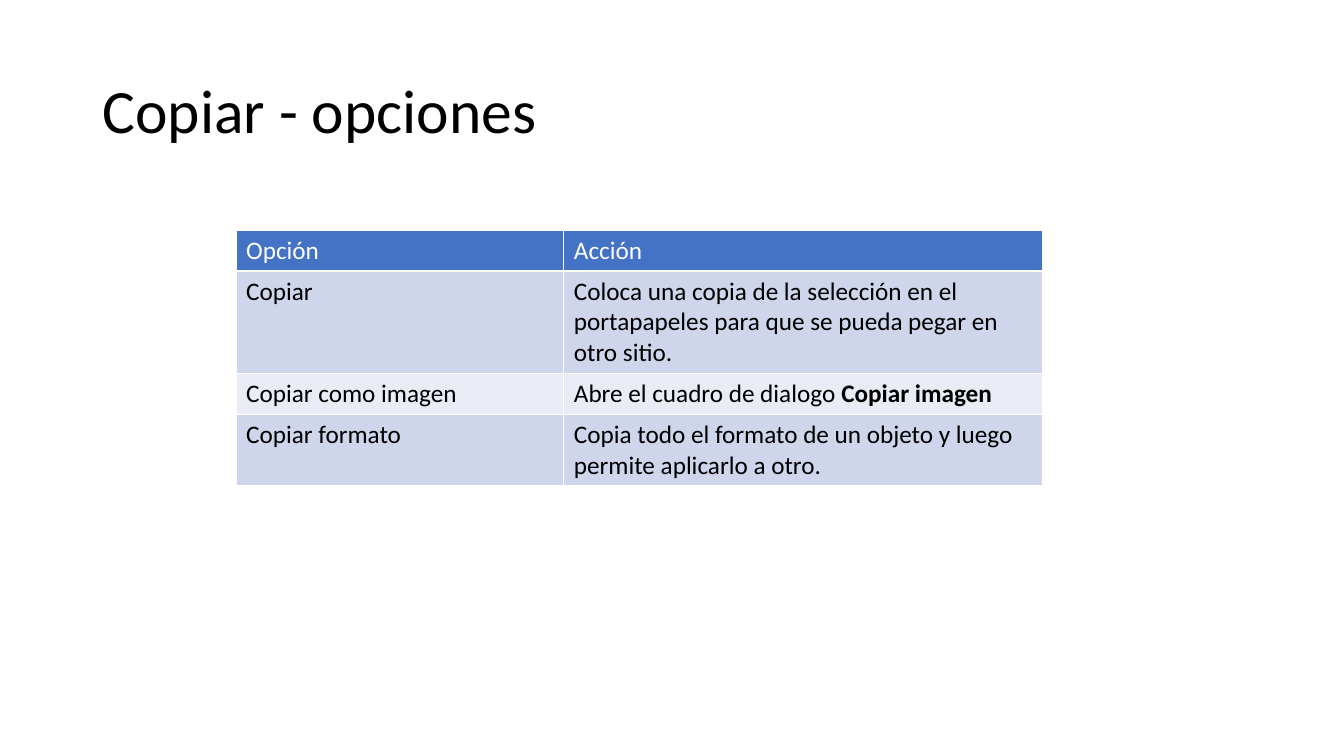
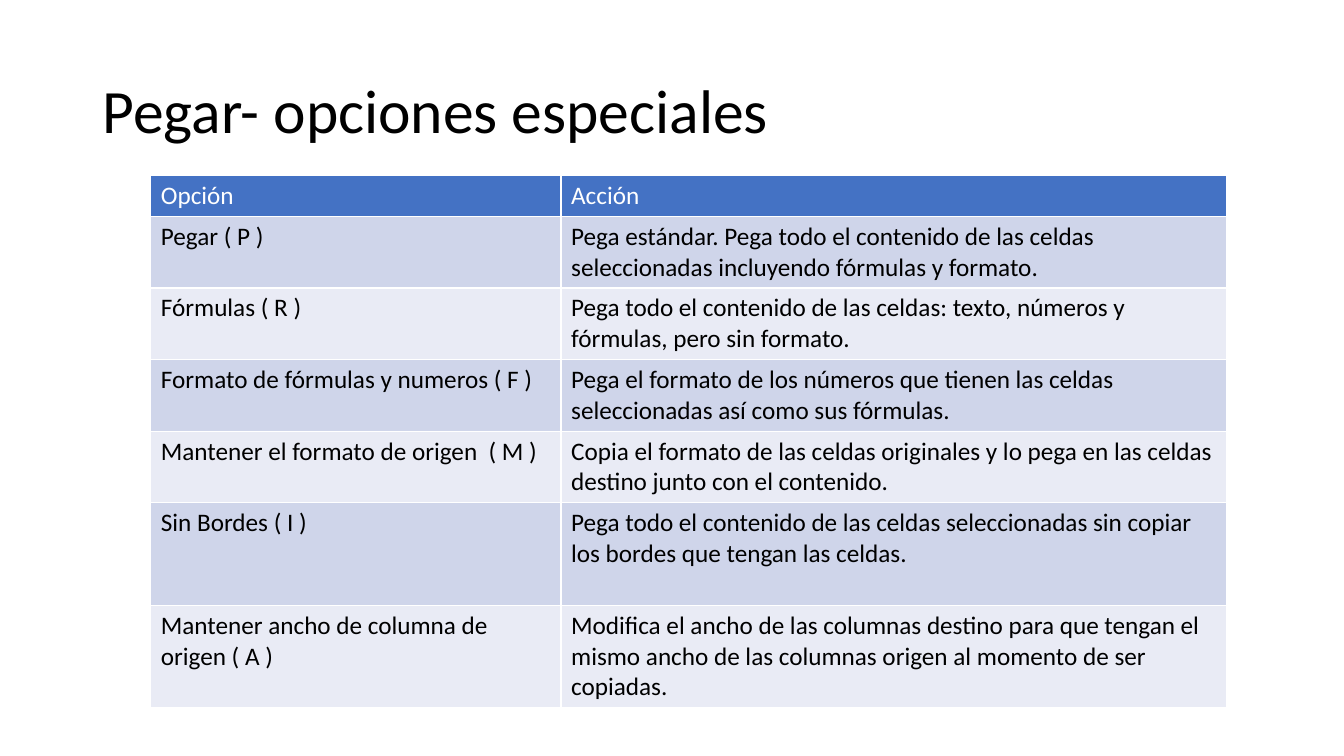
"""Build two slides of option tables for copying and pasting."""

import dataclasses

import pptx
import pptx.dml.color
import pptx.enum.text
import pptx.presentation
import pptx.slide
import pptx.table
import pptx.util

Cm = pptx.util.Cm
Pt = pptx.util.Pt

FONT = "Calibri"
COLORS = {
    "text": "000000",
    "header_text": "FFFFFF",
    "header": "4472C4",
    "odd_row": "CFD5EA",
    "even_row": "E9EBF5",
}
LINE_HEIGHT = 0.775
CELL_PADDING = 0.255


@dataclasses.dataclass(frozen=True)
class Row:
    option: str
    action: str
    lines: int = 2
    bold_ending: str = ""


@dataclasses.dataclass(frozen=True)
class OptionSlide:
    title: str
    left: float
    top: float
    column_widths: tuple[float, float]
    rows: tuple[Row, ...]


HEADER = Row("Opción", "Acción", lines=1)

OPTION_SLIDES = (
    OptionSlide(
        "Copiar - opciones", 5.95, 5.8, (8.26, 12.06),
        (
            Row("Copiar", "Coloca una copia de la selección en el portapapeles "
                "para que se pueda pegar en otro sitio.", lines=3),
            Row("Copiar como imagen", "Abre el cuadro de dialogo ", lines=1,
                bold_ending="Copiar imagen"),
            Row("Copiar formato", "Copia todo el formato de un objeto y luego "
                "permite aplicarlo a otro."),
        ),
    ),
    OptionSlide(
        "Pegar- opciones especiales", 3.8, 4.42, (10.34, 16.78),
        (
            Row("Pegar ( P )", "Pega estándar. Pega todo el contenido de las celdas "
                "seleccionadas incluyendo fórmulas y formato."),
            Row("Fórmulas ( R )", "Pega todo el contenido de las celdas: texto, "
                "números y fórmulas, pero sin formato."),
            Row("Formato de fórmulas y numeros ( F )", "Pega el formato de los "
                "números que tienen las celdas seleccionadas así como sus fórmulas."),
            Row("Mantener el formato de origen  ( M )", "Copia el formato de las celdas "
                "originales y lo pega en las celdas destino junto con el contenido."),
            Row("Sin Bordes ( I )", "Pega todo el contenido de las celdas seleccionadas "
                "sin copiar los bordes que tengan las celdas.", lines=3),
            Row("Mantener ancho de columna de origen ( A )", "Modifica el ancho de las "
                "columnas destino para que tengan el mismo ancho de las columnas origen "
                "al momento de ser copiadas.", lines=3),
        ),
    ),
)


def rgb(name: str) -> pptx.dml.color.RGBColor:
    return pptx.dml.color.RGBColor.from_string(COLORS[name])


def add_title(slide: pptx.slide.Slide, text: str) -> None:
    title = slide.shapes.title
    title.left, title.top = Cm(2.33), Cm(1.01)
    title.width, title.height = Cm(29.21), Cm(3.68)
    title.text_frame.text = text
    title.text_frame.vertical_anchor = pptx.enum.text.MSO_ANCHOR.MIDDLE
    paragraph = title.text_frame.paragraphs[0]
    paragraph.alignment = pptx.enum.text.PP_ALIGN.LEFT
    paragraph.line_spacing = 0.9
    paragraph.font.name = FONT
    paragraph.font.size = Pt(44)
    paragraph.font.color.rgb = rgb("text")


def fill_cell(cell: pptx.table._Cell, text: str, bold_ending: str,
              fill: str, color: str) -> None:
    cell.fill.solid()
    cell.fill.fore_color.rgb = rgb(fill)
    paragraph = cell.text_frame.paragraphs[0]
    for content, bold in ((text, False), (bold_ending, True)):
        if content:
            run = paragraph.add_run()
            run.text = content
            run.font.name = FONT
            run.font.size = Pt(18)
            run.font.bold = bold
            run.font.color.rgb = rgb(color)


def add_option_table(slide: pptx.slide.Slide, content: OptionSlide) -> None:
    rows = (HEADER, *content.rows)
    heights = [row.lines * LINE_HEIGHT + CELL_PADDING for row in rows]
    table = slide.shapes.add_table(
        len(rows), len(content.column_widths), Cm(content.left), Cm(content.top),
        Cm(sum(content.column_widths)), Cm(sum(heights)),
    ).table
    for column, width in zip(table.columns, content.column_widths):
        column.width = Cm(width)
    for index, (row, height) in enumerate(zip(rows, heights)):
        table.rows[index].height = Cm(height)
        if index == 0:
            fill, color = "header", "header_text"
        else:
            fill, color = ("odd_row" if index % 2 else "even_row"), "text"
        fill_cell(table.cell(index, 0), row.option, "", fill, color)
        fill_cell(table.cell(index, 1), row.action, row.bold_ending, fill, color)


def add_option_slide(presentation: pptx.presentation.Presentation,
                     content: OptionSlide) -> None:
    layout = presentation.slide_layouts.get_by_name("Title Only")
    slide = presentation.slides.add_slide(layout)
    add_title(slide, content.title)
    add_option_table(slide, content)


def main() -> None:
    presentation = pptx.Presentation()
    presentation.slide_width = Cm(33.87)
    presentation.slide_height = Cm(19.05)
    for content in OPTION_SLIDES:
        add_option_slide(presentation, content)
    presentation.save("out.pptx")


if __name__ == "__main__":
    main()
